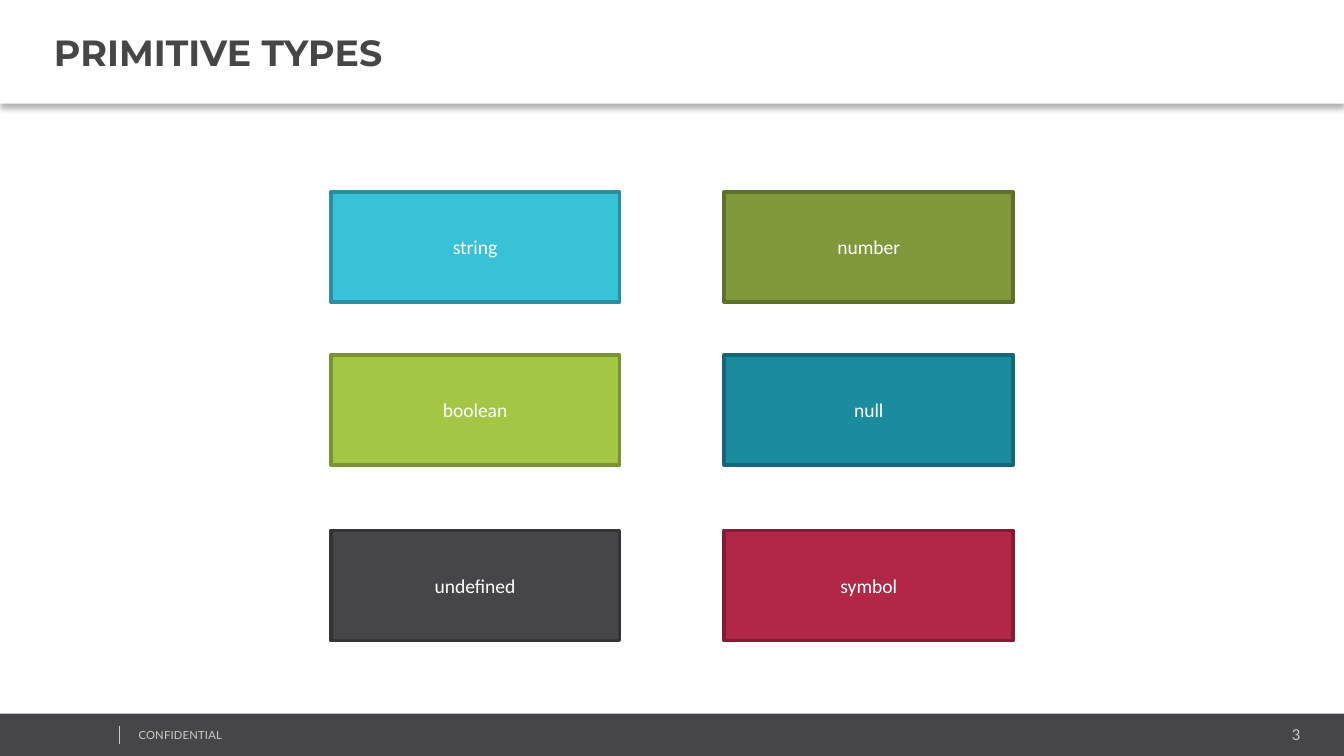
from lxml import etree
from pptx import Presentation
from pptx.dml.color import RGBColor
from pptx.enum.shapes import MSO_CONNECTOR, MSO_SHAPE
from pptx.enum.text import MSO_ANCHOR, MSO_AUTO_SIZE, PP_ALIGN
from pptx.oxml import parse_xml
from pptx.oxml.ns import nsdecls, qn
from pptx.util import Cm, Pt

RECTANGLE = MSO_SHAPE.RECTANGLE
STRAIGHT = MSO_CONNECTOR.STRAIGHT
MIDDLE = MSO_ANCHOR.MIDDLE
FIT_SHAPE = MSO_AUTO_SIZE.SHAPE_TO_FIT_TEXT
LEFT, CENTER, RIGHT = PP_ALIGN.LEFT, PP_ALIGN.CENTER, PP_ALIGN.RIGHT

COLORS = {
    "white": "FFFFFF",
    "charcoal": "464547",
    "charcoal_edge": "343335",
    "silver": "CCCCCC",
    "cyan": "39C2D7",
    "cyan_edge": "2A909F",
    "olive": "7F993A",
    "olive_edge": "5E712B",
    "lime": "A3C644",
    "lime_edge": "799232",
    "teal": "1B8BA0",
    "teal_edge": "146776",
    "crimson": "B22746",
    "crimson_edge": "841D34",
}

TYPE_ROWS = [
    (3.63, [("string", "cyan"), ("number", "olive")]),
    (6.71, [("boolean", "lime"), ("null", "teal")]),
    (10.03, [("undefined", "charcoal"), ("symbol", "crimson")]),
]
FIRST_COLUMN, COLUMN_STEP = 6.25, 7.44
TYPE_WIDTH, TYPE_HEIGHT = 5.46, 2.08


def rgb(name):
    return RGBColor.from_string(COLORS[name])


def add_text(frame, text, font, size, color, align, bold=False):
    paragraph = frame.paragraphs[0]
    paragraph.alignment = align
    run = paragraph.add_run()
    run.text = text
    run.font.name = font
    run.font.size = Pt(size)
    run.font.bold = bold
    run.font.color.rgb = rgb(color)
    return run


def add_block(slide, left, top, width, height, fill, edge=None):
    block = slide.shapes.add_shape(
        RECTANGLE, Cm(left), Cm(top), Cm(width), Cm(height))
    block.shadow.inherit = False
    block.fill.solid()
    block.fill.fore_color.rgb = rgb(fill)
    if edge:
        block.line.color.rgb = rgb(edge)
        block.line.width = Pt(2)
    else:
        block.line.fill.background()
    block.text_frame.word_wrap = True
    block.text_frame.vertical_anchor = MIDDLE
    return block


def add_header(slide, title):
    header = add_block(slide, 0, 0, 25.4, 1.96, "white")
    header.text_frame.margin_left = Cm(1.02)
    add_text(header.text_frame, title, "Montserrat", 19.5, "charcoal", LEFT, True)
    effects = header._element.spPr.find(qn("a:effectLst"))
    effects.append(parse_xml(
        f'<a:outerShdw {nsdecls("a")} blurRad="{Pt(3.1)}" dist="{Pt(2)}" '
        'dir="5400000" algn="t" rotWithShape="0"><a:srgbClr val="000000">'
        '<a:alpha val="30000"/></a:srgbClr></a:outerShdw>'))


def add_footer_text(slide, left, top, width, height, text, size, align):
    box = slide.shapes.add_textbox(Cm(left), Cm(top), Cm(width), Cm(height))
    frame = box.text_frame
    frame.word_wrap = True
    frame.auto_size = FIT_SHAPE
    frame.margin_left = frame.margin_right = Cm(0.18)
    frame.margin_top = frame.margin_bottom = Cm(0.1)
    return add_text(frame, text, "Lato", size, "silver", align)


def add_divider(slide, x, top, bottom):
    divider = slide.shapes.add_connector(
        STRAIGHT, Cm(x), Cm(top), Cm(x), Cm(bottom))
    divider.line.color.rgb = rgb("silver")
    divider.line.width = Pt(0.25)
    etree.SubElement(divider._element.spPr, qn("a:effectLst"))


def add_footer(slide):
    add_block(slide, 0, 13.49, 25.43, 0.84, "charcoal")
    add_footer_text(slide, 20.62, 13.61, 4.14, 0.53, "3", 8, RIGHT)
    notice = add_footer_text(
        slide, 2.44, 13.67, 6.43, 0.46, "CONFIDENTIAL", 6, LEFT)
    notice.font._element.set("spc", "10")
    add_divider(slide, 2.26, 13.72, 14.07)


def add_types(slide):
    for top, row in TYPE_ROWS:
        for column, (name, color) in enumerate(row):
            left = FIRST_COLUMN + column * COLUMN_STEP
            block = add_block(slide, left, top, TYPE_WIDTH, TYPE_HEIGHT,
                              color, f"{color}_edge")
            add_text(block.text_frame, name, "Calibri", 10.5, "white", CENTER)


def main():
    deck = Presentation()
    deck.slide_width, deck.slide_height = Cm(25.4), Cm(14.29)
    slide = deck.slides.add_slide(deck.slide_layouts[6])
    add_footer(slide)
    add_header(slide, "PRIMITIVE TYPES")
    add_types(slide)
    deck.save("out.pptx")


if __name__ == "__main__":
    main()
